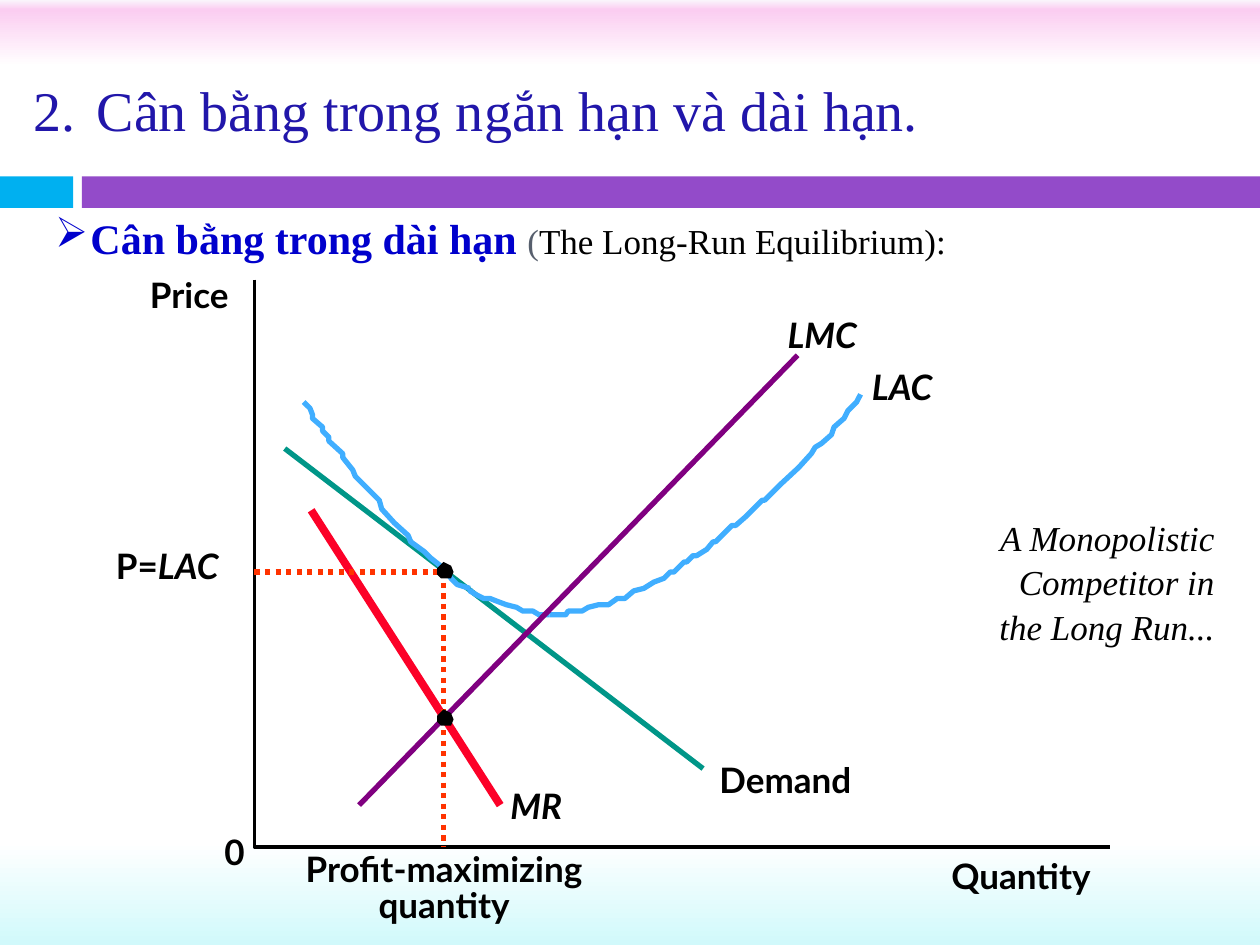
from lxml import etree
from pptx import Presentation
from pptx.dml.color import RGBColor
from pptx.enum.dml import MSO_LINE
from pptx.enum.shapes import MSO_CONNECTOR, MSO_SHAPE
from pptx.enum.text import MSO_ANCHOR, MSO_AUTO_SIZE, PP_ALIGN
from pptx.oxml import parse_xml
from pptx.oxml.ns import nsdecls, qn
from pptx.util import Inches, Pt

TOP, MIDDLE = MSO_ANCHOR.TOP, MSO_ANCHOR.MIDDLE
LEFT, CENTER, RIGHT = PP_ALIGN.LEFT, PP_ALIGN.CENTER, PP_ALIGN.RIGHT
RECTANGLE, STRAIGHT = MSO_SHAPE.RECTANGLE, MSO_CONNECTOR.STRAIGHT
DOTTED = MSO_LINE.ROUND_DOT
FIT, NO_FIT = MSO_AUTO_SIZE.SHAPE_TO_FIT_TEXT, MSO_AUTO_SIZE.NONE

WIDTH, HEIGHT = Inches(10), Inches(7.5)
COLUMNS = 1000
CELL = WIDTH / COLUMNS
SERIF, SANS = "Times New Roman", "Lato"
BLACK = "000000"

BACKGROUND_STOPS = [(0, "FAF6FC"), (1, "FBCDF1"), (7, "FFFFFF"), (89, "FFFFFF"), (100, "D1F9FB")]
BARS = [
    ((0, 135, 1000, 35), "FFFFFF"),
    ((0, 140, 58, 25), "00B0F0"),
    ((65, 140, 935, 25), "934BC9"),
]
HEADING = "2.\tCân bằng trong ngắn hạn và dài hạn."
SUBHEADING = [
    ("Cân bằng trong dài hạn ", {"size": 24, "color": "0000CC", "bold": True}),
    ("(", {"size": 20, "color": "575F6D"}),
    ("The Long-Run Equilibrium):", {"size": 20}),
]
CAPTION = "A Monopolistic Competitor in the Long Run..."

ORIGIN = (202, 672)
QUANTITY, PRICE, MARGINAL_COST = 352, 454, 571
AXES = [(202, 222), ORIGIN, (881, 672)]
GUIDES = [(ORIGIN[0], PRICE), (QUANTITY, PRICE), (QUANTITY, ORIGIN[1])]
DEMAND = ((226, 356), (558, 610), "009688", 3)
MARGINAL_REVENUE = ((247, 405), (397, 639), "FC0128", 4.5)
LONG_RUN_MARGINAL_COST = ((633, 282), (285, 639), "800080", 3)
AVERAGE_COST_PARTS = [
    [(436, 488), (428, 488), (423, 485), (415, 485), (410, 482), (402, 480), (394, 477),
     (389, 475), (384, 475), (378, 472), (373, 469), (373, 467)],
    [(683, 313), (680, 319), (673, 326), (670, 332), (662, 339), (660, 345), (652, 352),
     (647, 355), (644, 360), (634, 371), (620, 384), (607, 397), (605, 397), (592, 410),
     (584, 417), (581, 417), (568, 430), (566, 430), (561, 436), (553, 441), (550, 441),
     (545, 446), (543, 446), (535, 454), (532, 454), (527, 459), (519, 462), (511, 467),
     (503, 469), (496, 475), (490, 475), (483, 480), (475, 480), (467, 482), (462, 485),
     (451, 485), (449, 488), (436, 488)],
    [(373, 467), (363, 464), (358, 459), (352, 451), (342, 443), (337, 438), (326, 430),
     (324, 425), (313, 415), (303, 404), (301, 397), (290, 386), (282, 378), (280, 373),
     (272, 363), (272, 360), (261, 350), (261, 347), (256, 342), (256, 339), (248, 332),
     (248, 329), (246, 324), (241, 319)],
]
POINT_OUTLINE = [(0, 5), (6, 5), (8, 0), (6, -5), (0, -8), (-5, -3), (-5, 2), (-2, 5)]

LABELS = [
    ((755, 678, 121, 33), "Quantity", False),
    ((119, 217, 70, 33), "Price", False),
    ((178, 659, 18, 33), "0", False),
    ((571, 602, 116, 33), "Demand", False),
    ((405, 623, 45, 33), "MR", True),
    ((692, 290, 54, 33), "LAC", True),
    ((625, 249, 59, 33), "LMC", True),
]
OPTIMUM_LABEL = ["Profit-maximizing", "quantity"]
PRICE_LABEL = [("P=", {}), ("LAC", {"italic": True})]


def cells(*values):
    return [round(value * CELL) for value in values]


def rgb(color):
    return RGBColor.from_string(color)


def write(shape, paragraphs, font=SANS, size=20, color=BLACK, bold=False, italic=False,
          align=LEFT, anchor=TOP, margins=(0, 0), spacing=None, wrap=False, fit=True,
          layout_xml=None, indent=0):
    frame = shape.text_frame
    frame.word_wrap = wrap
    frame.auto_size = FIT if fit else NO_FIT
    frame.vertical_anchor = anchor
    frame.margin_left = frame.margin_right = Inches(margins[0])
    frame.margin_top = frame.margin_bottom = Inches(margins[1])
    for index, runs in enumerate(paragraphs):
        paragraph = frame.add_paragraph() if index else frame.paragraphs[0]
        paragraph.alignment = align
        if spacing:
            paragraph.line_spacing = spacing
        if layout_xml:
            properties = paragraph._p.get_or_add_pPr()
            properties.append(parse_xml(layout_xml))
            properties.set("marL", str(Inches(indent)))
            properties.set("indent", str(-Inches(indent)))
        for text, changes in [(runs, {})] if isinstance(runs, str) else runs:
            look = {"size": size, "color": color, "bold": bold, "italic": italic, **changes}
            run = paragraph.add_run()
            run.text = text
            run.font.name = font
            run.font.size = Pt(look["size"])
            run.font.bold = look["bold"]
            run.font.italic = look["italic"]
            run.font.color.rgb = rgb(look["color"])


def add_text(slide, place, paragraphs, **look):
    write(slide.shapes.add_textbox(*cells(*place)), paragraphs, **look)


def style_line(line, color, weight, dash=None):
    line.color.rgb = rgb(color)
    line.width = Pt(weight)
    if dash:
        line.dash_style = dash


def add_outline(slide, points, close=False):
    start, *rest = [cells(*point) for point in points]
    builder = slide.shapes.build_freeform(*start)
    builder.add_line_segments(rest, close=close)
    outline = builder.convert_to_shape()
    outline.shadow.inherit = False
    return outline


def add_curve(slide, points, color, weight, dash=None):
    curve = add_outline(slide, points)
    curve.fill.background()
    style_line(curve.line, color, weight, dash)


def add_line(slide, start, end, color, weight):
    line = slide.shapes.add_connector(STRAIGHT, *cells(*start, *end))
    style_line(line.line, color, weight)
    etree.SubElement(line._element.spPr, qn("a:effectLst"))


def fill_solid(shape, color):
    shape.fill.solid()
    shape.fill.fore_color.rgb = rgb(color)
    shape.line.fill.background()


def paint_background(slide):
    fill = slide.background.fill
    fill.gradient()
    fill.gradient_angle = 270
    stops = slide._element.find(".//" + qn("a:gsLst"))
    for stop in list(stops):
        stops.remove(stop)
    for share, color in BACKGROUND_STOPS:
        stop = etree.SubElement(stops, qn("a:gs"), pos=str(share * 1000))
        etree.SubElement(stop, qn("a:srgbClr"), val=color)


def main():
    deck = Presentation()
    deck.slide_width, deck.slide_height = WIDTH, HEIGHT
    slide = deck.slides.add_slide(deck.slide_layouts[5])
    paint_background(slide)

    for place, color in BARS:
        bar = slide.shapes.add_shape(RECTANGLE, *cells(*place))
        bar.shadow.inherit = False
        fill_solid(bar, color)

    caption = slide.shapes.title
    caption.left, caption.top, caption.width, caption.height = cells(768, 312, 206, 298)
    write(caption, [CAPTION], font=SERIF, italic=True, align=RIGHT, anchor=MIDDLE,
          margins=(0.1, 0.05), spacing=1.05, wrap=True, fit=False)

    for place, label, italic in LABELS:
        add_text(slide, place, [label], bold=True, italic=italic)

    add_curve(slide, AXES, BLACK, 2.25)
    add_line(slide, *DEMAND)
    add_line(slide, *MARGINAL_REVENUE)
    for part in AVERAGE_COST_PARTS:
        add_curve(slide, part, "40AEFF", 3)
    add_line(slide, *LONG_RUN_MARGINAL_COST)

    add_text(slide, (227, 678, 251, 57), OPTIMUM_LABEL, bold=True, align=CENTER, spacing=0.85)
    add_curve(slide, GUIDES, "FF3300", 3, DOTTED)
    for level in (PRICE, MARGINAL_COST):
        outline = [(QUANTITY + across, level + down) for across, down in POINT_OUTLINE]
        fill_solid(add_outline(slide, outline, close=True), BLACK)
    add_text(slide, (92, 432, 100, 33), [PRICE_LABEL], bold=True, wrap=True)

    bullet = f'<a:buChar {nsdecls("a")} char="➢"/>'
    add_text(slide, (34, 149, 866, 79), [SUBHEADING], font=SERIF, anchor=MIDDLE,
             margins=(0.1, 0.05), wrap=True, fit=False, layout_xml=bullet, indent=0.28)
    tabs = f'<a:tabLst {nsdecls("a")}><a:tab pos="{Inches(0.55)}" algn="l"/></a:tabLst>'
    add_text(slide, (17, 37, 1000, 99), [HEADING], font=SERIF, size=32, color="2116AA",
             anchor=MIDDLE, margins=(0.1, 0.05), wrap=True, fit=False, layout_xml=tabs)
    deck.save("out.pptx")


if __name__ == "__main__":
    main()
